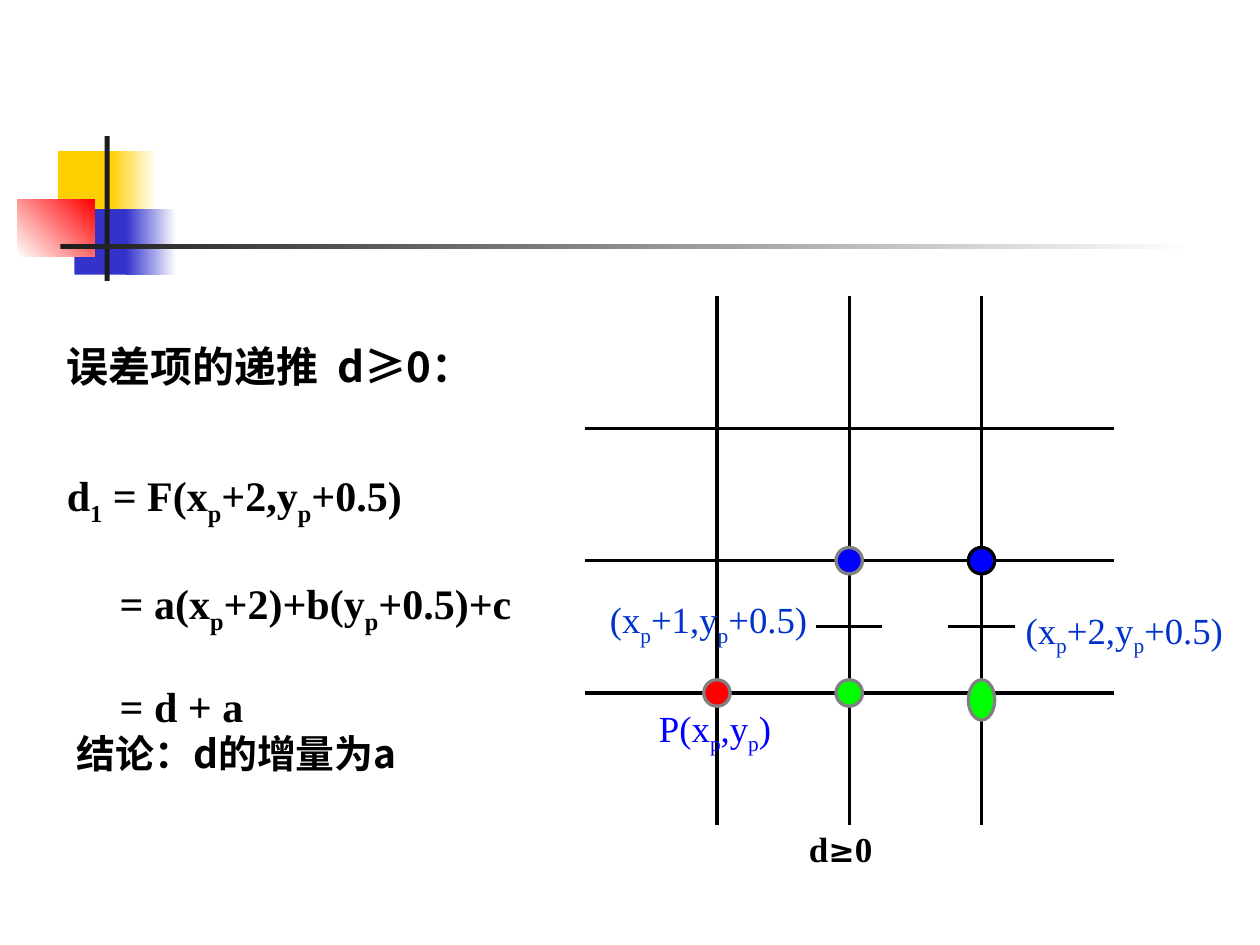
from dataclasses import dataclass

from lxml.etree import SubElement
from pptx import Presentation
from pptx.dml.color import RGBColor
from pptx.enum.shapes import MSO_CONNECTOR, MSO_SHAPE
from pptx.enum.text import MSO_ANCHOR, MSO_AUTO_SIZE
from pptx.enum.text import PP_ALIGN as Align
from pptx.oxml.ns import qn
from pptx.util import Inches, Pt


@dataclass(frozen=True)
class Theme:
    serif: str = "Times New Roman"
    chinese: str = "Noto Sans CJK SC"
    symbol: str = "DejaVu Sans"
    black: str = "000000"
    white: str = "FFFFFF"
    dark: str = "1C1C1C"
    yellow: str = "FFCF01"
    indigo: str = "3333CC"
    red: str = "FF0000"
    green: str = "00FF00"
    blue: str = "0000FF"
    label_blue: str = "0033CC"
    grey: str = "808080"
    formula_size: float = 24
    conclusion_size: float = 22.2
    label_size: float = 21
    caption_size: float = 20
    symbol_size: float = 18
    line_width: float = 1.87


THEME = Theme()
rgb = RGBColor.from_string

# Pixel grid: crossing of column 0 and row 0 is the point P, rows count upwards
ORIGIN_X, ORIGIN_Y, STEP = 5.69, 5.5, 1.05
DOT = 0.21


def column(index):
    return ORIGIN_X + index * STEP


def row(index):
    return ORIGIN_Y - index * STEP


def add_band(slide, box, *colors, angle=0):
    """Borderless rectangle, solid or graded between two colours."""
    band = slide.shapes.add_shape(MSO_SHAPE.RECTANGLE, *map(Inches, box))
    band.shadow.inherit = False
    band.line.fill.background()
    if len(colors) == 1:
        band.fill.solid()
        band.fill.fore_color.rgb = rgb(colors[0])
        return
    band.fill.gradient()
    band.fill.gradient_angle = angle
    for stop, color, position in zip(band.fill.gradient_stops, colors, (0, 1)):
        stop.color.rgb = rgb(color)
        stop.position = position


def add_line(slide, x1, y1, x2, y2):
    line = slide.shapes.add_connector(
        MSO_CONNECTOR.STRAIGHT, *map(Inches, (x1, y1, x2, y2)))
    line.line.color.rgb = rgb(THEME.black)
    line.line.width = Pt(THEME.line_width)
    SubElement(line._element.spPr, qn("a:effectLst"))


def add_dot(slide, col, row_index, color, outline, height=DOT):
    """Pixel hanging from the usual dot top, so a taller one grows downwards."""
    box = column(col) - DOT / 2, row(row_index) - DOT / 2, DOT, height
    dot = slide.shapes.add_shape(MSO_SHAPE.OVAL, *map(Inches, box))
    dot.shadow.inherit = False
    dot.fill.solid()
    dot.fill.fore_color.rgb = rgb(color)
    dot.line.color.rgb = rgb(outline)
    dot.line.width = Pt(THEME.line_width)


def add_run(paragraph, text, font, size, color, bold=False, subscript=False,
            spacing=0):
    """Add a run; spacing is extra room after each character, in points."""
    run = paragraph.add_run()
    run.text = text
    run.font.name = font
    run.font.size = Pt(size)
    run.font.bold = bold
    run.font.color.rgb = rgb(color)
    properties = run.font._element
    SubElement(properties, qn("a:ea")).set("typeface", font)
    if subscript:
        properties.set("baseline", "-25000")
    if spacing:
        properties.set("spc", str(round(spacing * 100)))


def add_formula(paragraph, formula, size, color, bold=False):
    """Write a formula in which _ turns the next character into a subscript."""
    first, *pieces = formula.split("_")
    add_run(paragraph, first, THEME.serif, size, color, bold)
    for piece in pieces:
        add_run(paragraph, piece[0], THEME.serif, size, color, bold, True)
        add_run(paragraph, piece[1:], THEME.serif, size, color, bold)


def format_paragraph(paragraph, spacing, before=0, margin=0):
    properties = paragraph._p.get_or_add_pPr()
    properties.set("marL", str(Inches(margin)))
    properties.set("indent", "0")
    SubElement(properties, qn("a:buNone"))
    paragraph.alignment = Align.JUSTIFY
    paragraph.line_spacing = spacing
    paragraph.space_before = Pt(before)


def place(shape, box):
    """Set the box of a text shape and return its frame, anchored at the top."""
    shape.left, shape.top, shape.width, shape.height = map(Inches, box)
    frame = shape.text_frame
    frame.word_wrap = True
    frame.auto_size = MSO_AUTO_SIZE.NONE
    frame.vertical_anchor = MSO_ANCHOR.TOP
    return frame


def add_label(slide, box):
    """Tight one-line text box; returns its paragraph."""
    frame = slide.shapes.add_textbox(*map(Inches, box)).text_frame
    frame.word_wrap = False
    frame.margin_left = frame.margin_right = 0
    frame.margin_top = frame.margin_bottom = 0
    return frame.paragraphs[0]


def add_ornament(slide):
    t = THEME
    add_band(slide, (0.46, 1.2, 0.48, 0.52), t.yellow)
    add_band(slide, (0.88, 1.2, 0.36, 0.52), t.yellow, t.white)
    add_band(slide, (0.59, 1.66, 0.46, 0.52), t.indigo)
    add_band(slide, (1, 1.66, 0.4, 0.52), t.indigo, t.white)
    add_band(slide, (0.14, 1.58, 0.61, 0.46), t.white, t.red, angle=45)
    add_band(slide, (0.83, 1.08, 0.04, 1.15), t.dark)
    add_band(slide, (0.48, 1.94, 9, 0.04), t.dark, t.white)


def add_derivation(slide):
    t = THEME
    heading = place(slide.shapes.title, (0.43, 2.33, 4.09, 0.87)).paragraphs[0]
    format_paragraph(heading, 1.8)
    for text, gap in (("误差项的递推", 0), (" ", 5.4), ("d≥0：", 0)):
        add_run(heading, text, t.chinese, t.formula_size, t.black, True, spacing=gap)

    steps = place(slide.placeholders[1], (0.43, 3.36, 4.25, 2.44))
    formulas = ("d_1 = F(x_p+2,y_p+0.5)", "= a(x_p+2)+b(y_p+0.5)+c", "= d + a")
    for index, formula in enumerate(formulas):
        step = steps.add_paragraph() if index else steps.paragraphs[0]
        if index:
            format_paragraph(step, 1.7, before=6, margin=0.42)
        else:
            format_paragraph(step, 1.7)
        add_formula(step, formula, t.formula_size, t.black, True)

    box = 0.51, 5.48, 3.15, 0.87
    conclusion = place(slide.shapes.add_textbox(0, 0, 0, 0), box).paragraphs[0]
    format_paragraph(conclusion, 1.7)
    add_run(conclusion, "结论：d的增量为a", t.chinese, t.conclusion_size, t.black, True)


def add_pixel_grid(slide):
    t = THEME
    # Grid lines reach one step past the outer crossings
    for index in range(3):
        add_line(slide, column(-1), row(index), column(3), row(index))
        add_line(slide, column(index), row(3), column(index), row(-1))
    # Midpoint ticks
    for col in (1, 2):
        add_line(slide, column(col - 0.25), row(0.5), column(col + 0.25), row(0.5))
    # Pixels
    add_dot(slide, 2, 1, t.blue, t.black)
    add_dot(slide, 1, 1, t.blue, t.grey)
    add_dot(slide, 1, 0, t.green, t.grey)
    add_dot(slide, 2, 0, t.green, t.grey, height=0.32)
    add_dot(slide, 0, 0, t.red, t.grey)
    # Point labels
    for formula, box, color in (
            ("P(x_p,y_p)", (5.23, 5.6, 0.89, 0.4), t.blue),
            ("(x_p+1,y_p+0.5)", (4.84, 4.74, 1.57, 0.4), t.label_blue),
            ("(x_p+2,y_p+0.5)", (8.14, 4.82, 1.57, 0.4), t.label_blue)):
        add_formula(add_label(slide, box), formula, t.label_size, color)
    # Caption
    caption = add_label(slide, (6.42, 6.57, 0.6, 0.33))
    for text, font, size in (("d", t.serif, t.caption_size),
                             ("≥", t.symbol, t.symbol_size),
                             ("0", t.serif, t.caption_size)):
        add_run(caption, text, font, size, t.black, True)


def main():
    deck = Presentation()
    deck.slide_width, deck.slide_height = Inches(10), Inches(7.5)
    slide = deck.slides.add_slide(deck.slide_layouts[1])
    add_ornament(slide)
    add_derivation(slide)
    add_pixel_grid(slide)
    deck.save("out.pptx")


if __name__ == "__main__":
    main()
